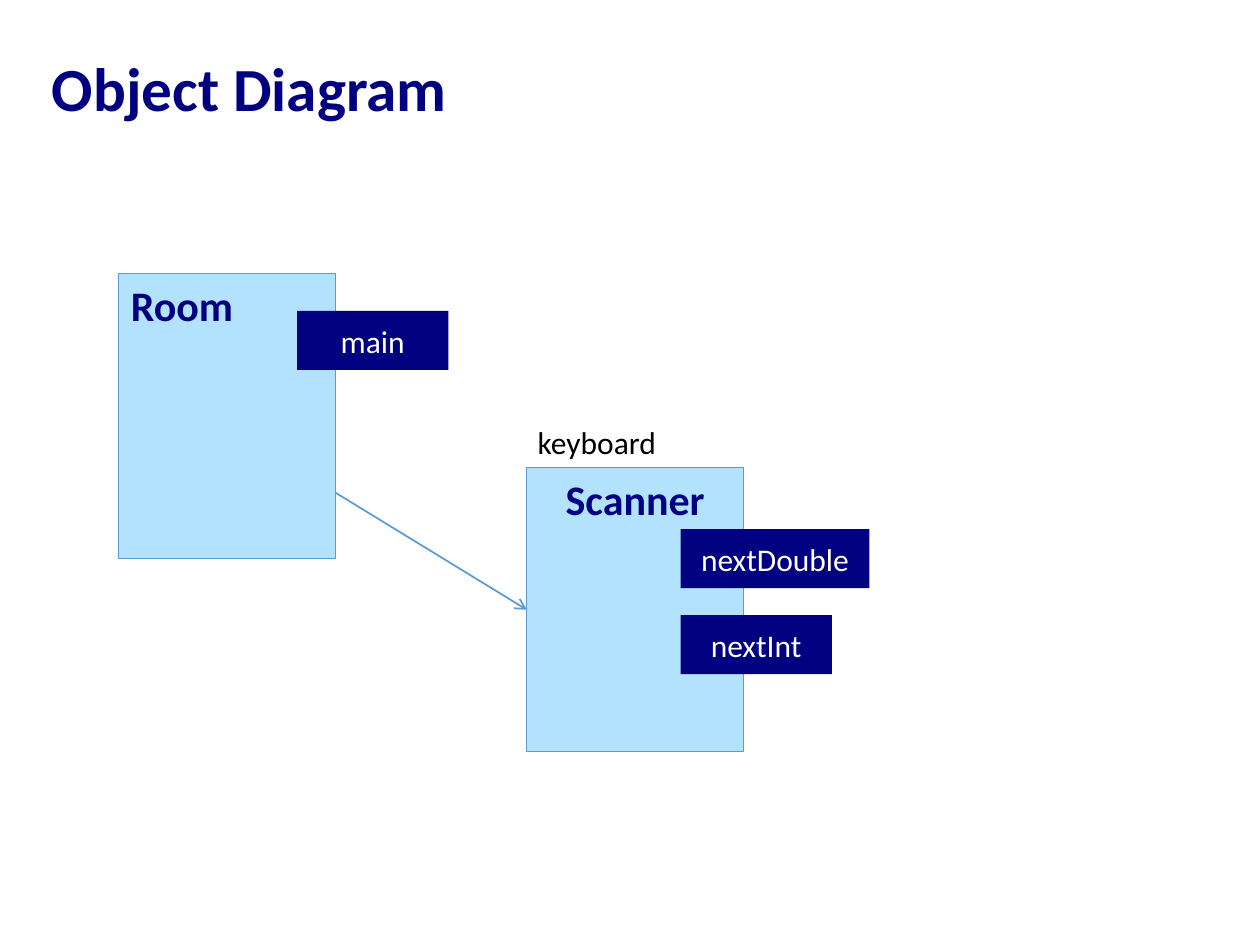
from dataclasses import dataclass

import lxml.etree
import pptx
import pptx.dml.color
import pptx.enum.shapes
import pptx.enum.text
import pptx.oxml.ns
import pptx.util
from pptx.util import Cm

FONT = "Calibri"
NAVY = "000080"
LIGHT_BLUE = "B3E2FF"
LINE_BLUE = "5B9BD5"
WHITE = "FFFFFF"
BLACK = "000000"
OBJECT_WIDTH, OBJECT_HEIGHT = 4.37, 5.74
METHOD_HEIGHT = 1.19
LEFT_SITE = 1

Align = pptx.enum.text.PP_ALIGN
Anchor = pptx.enum.text.MSO_ANCHOR


@dataclass
class ObjectBox:
    name: str
    left: float
    top: float
    alignment: Align


@dataclass
class MethodBox:
    name: str
    left: float
    top: float
    width: float = 3.05


def color(value: str) -> pptx.dml.color.RGBColor:
    return pptx.dml.color.RGBColor.from_string(value)


def write_text(shape, text: str, size: int, text_color: str, bold: bool = False,
               alignment: Align = Align.LEFT, anchor: Anchor = Anchor.TOP) -> None:
    frame = shape.text_frame
    frame.text = text
    frame.vertical_anchor = anchor
    paragraph = frame.paragraphs[0]
    paragraph.alignment = alignment
    font = paragraph.runs[0].font
    font.name = FONT
    font.size = pptx.util.Pt(size)
    font.bold = bold
    font.color.rgb = color(text_color)


def add_rectangle(slide, left: float, top: float, width: float, height: float, fill: str):
    shape = slide.shapes.add_shape(pptx.enum.shapes.MSO_SHAPE.RECTANGLE,
                                   Cm(left), Cm(top), Cm(width), Cm(height))
    shape.shadow.inherit = False
    shape.fill.solid()
    shape.fill.fore_color.rgb = color(fill)
    return shape


def add_object(slide, box: ObjectBox):
    shape = add_rectangle(slide, box.left, box.top, OBJECT_WIDTH, OBJECT_HEIGHT, LIGHT_BLUE)
    shape.line.color.rgb = color(LINE_BLUE)
    shape.line.width = pptx.util.Pt(0.5)
    write_text(shape, box.name, 24, NAVY, True, box.alignment)
    return shape


def add_method(slide, box: MethodBox) -> None:
    shape = add_rectangle(slide, box.left, box.top, box.width, METHOD_HEIGHT, NAVY)
    shape.line.fill.background()
    write_text(shape, box.name, 18, WHITE, alignment=Align.CENTER, anchor=Anchor.MIDDLE)


def add_arrow(slide, left: float, top: float, target) -> None:
    connector = slide.shapes.add_connector(pptx.enum.shapes.MSO_CONNECTOR.STRAIGHT,
                                           Cm(left), Cm(top), Cm(left), Cm(top))
    connector.end_connect(target, LEFT_SITE)
    connector.line.color.rgb = color(LINE_BLUE)
    connector.line.width = pptx.util.Pt(1)
    qn = pptx.oxml.ns.qn
    properties = connector._element.spPr
    lxml.etree.SubElement(properties.find(qn("a:ln")), qn("a:tailEnd"), type="arrow")
    lxml.etree.SubElement(properties, qn("a:effectLst"))


def add_title(slide, text: str) -> None:
    title = slide.shapes.title
    title.left, title.top, title.width, title.height = Cm(0.79), Cm(0.61), Cm(18.31), Cm(2.46)
    write_text(title, text, 35, NAVY, True, anchor=Anchor.MIDDLE)
    title.text_frame.paragraphs[0].line_spacing = 0.9


def add_label(slide, text: str) -> None:
    label = slide.shapes.add_textbox(Cm(10.59), Cm(8.41), Cm(2.92), Cm(1.02))
    write_text(label, text, 18, BLACK)
    label.text_frame.word_wrap = False
    label.text_frame.auto_size = pptx.enum.text.MSO_AUTO_SIZE.SHAPE_TO_FIT_TEXT


def main() -> None:
    presentation = pptx.Presentation()
    presentation.slide_width = Cm(25.4)
    presentation.slide_height = Cm(19.05)
    slide = presentation.slides.add_slide(presentation.slide_layouts[5])

    room = ObjectBox("Room", 2.39, 5.51, Align.LEFT)
    scanner = ObjectBox("Scanner", 10.62, 9.42, Align.CENTER)
    methods = [
        MethodBox("main", 5.99, 6.27),
        MethodBox("nextDouble", 13.72, 10.67, 3.81),
        MethodBox("nextInt", 13.72, 12.4),
    ]

    add_title(slide, "Object Diagram")
    add_object(slide, room)
    scanner_shape = add_object(slide, scanner)
    for method in methods:
        add_method(slide, method)
    add_arrow(slide, room.left + OBJECT_WIDTH, 9.93, scanner_shape)
    add_label(slide, "keyboard")

    presentation.save("out.pptx")


if __name__ == "__main__":
    main()
